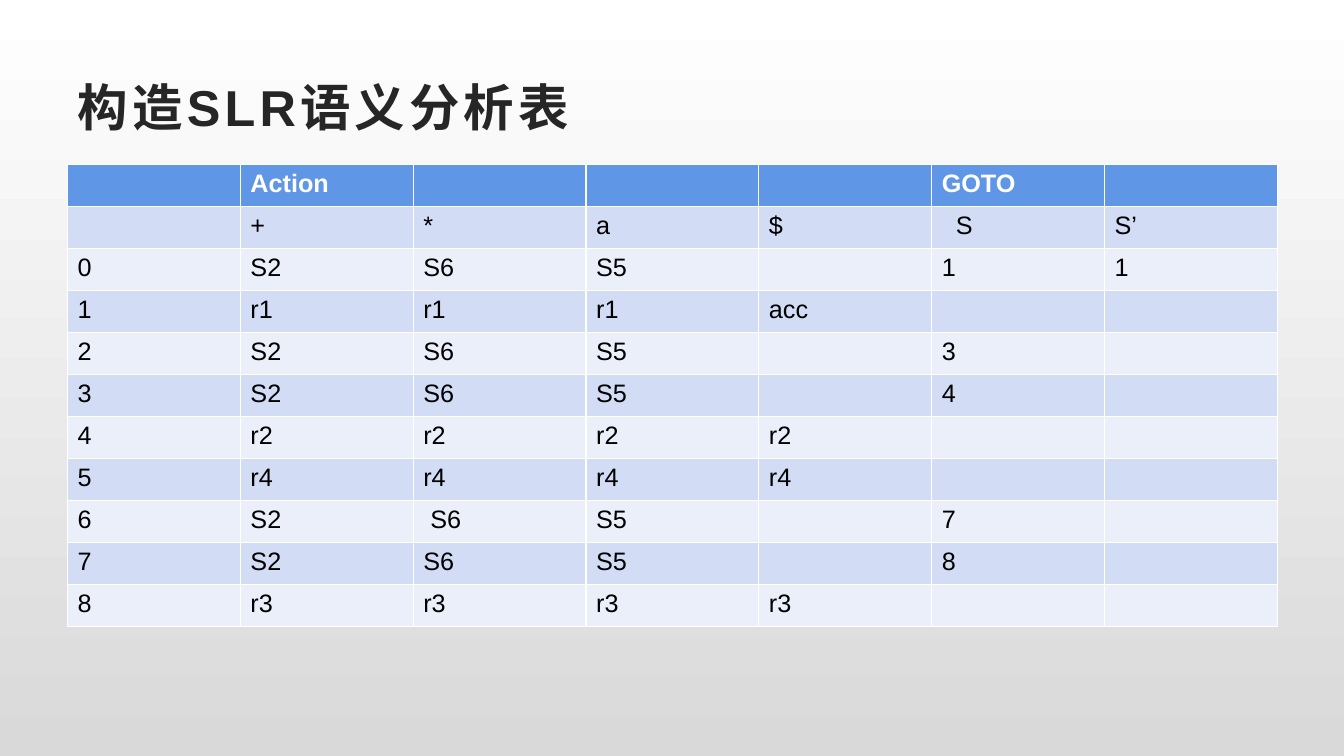
from dataclasses import dataclass

from pptx import Presentation
from pptx.dml.color import RGBColor
from pptx.enum.text import MSO_ANCHOR, MSO_AUTO_SIZE, PP_ALIGN
from pptx.slide import Slide
from pptx.text.text import TextFrame
from pptx.util import Inches, Pt

WHITE = RGBColor(0xFF, 0xFF, 0xFF)
BLACK = RGBColor(0x00, 0x00, 0x00)
GRAY = RGBColor(0xD9, 0xD9, 0xD9)
TITLE_COLOR = RGBColor(0x26, 0x26, 0x26)
HEADER_BLUE = RGBColor(0x60, 0x96, 0xE6)
BAND_DARK = RGBColor(0xD2, 0xDD, 0xF5)
BAND_LIGHT = RGBColor(0xEA, 0xEF, 0xFA)

LEFT, WIDTH = Inches(0.67), Inches(12)
TABLE_TOP = Inches(1.63)
ROW_HEIGHT = Inches(5) // 12
CELL_MARGIN = 0.1


@dataclass(frozen=True)
class ParserState:
    actions: tuple[str, str, str, str]
    goto: tuple[str, str] = ("", "")


SHIFT = ("S2", "S6", "S5", "")


def reduce_by(rule: str) -> ParserState:
    return ParserState((rule,) * 4)


STATES = [
    ParserState(SHIFT, ("1", "1")),
    ParserState(("r1", "r1", "r1", "acc")),
    ParserState(SHIFT, ("3", "")),
    ParserState(SHIFT, ("4", "")),
    reduce_by("r2"),
    reduce_by("r4"),
    ParserState(SHIFT, ("7", "")),
    ParserState(SHIFT, ("8", "")),
    reduce_by("r3"),
]
HEADINGS = [
    ("", "Action", "", "", "", "GOTO", ""),
    ("", "+", "*", "a", "$", "S", "S’"),
]
# Extra left indent in inches, by (row, column)
INDENTS = {(1, 5): 0.14, (8, 2): 0.07}


def write_text(frame: TextFrame, text: str, *, size: float = 18,
               color: RGBColor = BLACK, bold: bool = False,
               spacing: float = 0) -> None:
    paragraph = frame.paragraphs[0]
    paragraph.alignment = PP_ALIGN.LEFT
    run = paragraph.add_run()
    run.text = text
    run.font.name = "Arial"
    run.font.size = Pt(size)
    run.font.bold = bold
    run.font.color.rgb = color
    if spacing:
        run._r.get_or_add_rPr().set("spc", str(round(spacing * 100)))


def paint_background(slide: Slide) -> None:
    fill = slide.background.fill
    fill.gradient()
    fill.gradient_angle = 270
    for stop, color, position in zip(fill.gradient_stops, (WHITE, GRAY), (0, 1)):
        stop.color.rgb = color
        stop.position = position


def add_title(slide: Slide, text: str) -> None:
    title = slide.shapes.title
    title.left, title.top = LEFT, Inches(0.67)
    title.width, title.height = WIDTH, Inches(0.77)
    frame = title.text_frame
    frame.word_wrap = True
    frame.auto_size = MSO_AUTO_SIZE.NONE
    frame.vertical_anchor = MSO_ANCHOR.MIDDLE
    write_text(frame, text, size=36, color=TITLE_COLOR, bold=True, spacing=3)


def add_parsing_table(slide: Slide) -> None:
    rows = HEADINGS + [
        (str(number), *state.actions, *state.goto)
        for number, state in enumerate(STATES)
    ]
    # The default table style supplies the white cell borders
    table = slide.shapes.add_table(
        len(rows), len(rows[0]), LEFT, TABLE_TOP, WIDTH, ROW_HEIGHT * len(rows)
    ).table
    for row in table.rows:
        row.height = ROW_HEIGHT

    for row_index, values in enumerate(rows):
        is_header = row_index == 0
        band = BAND_DARK if row_index % 2 else BAND_LIGHT
        for column_index, value in enumerate(values):
            cell = table.cell(row_index, column_index)
            cell.fill.solid()
            cell.fill.fore_color.rgb = HEADER_BLUE if is_header else band
            indent = INDENTS.get((row_index, column_index), 0)
            cell.margin_left = Inches(CELL_MARGIN + indent)
            if value:
                write_text(cell.text_frame, value, bold=is_header,
                           color=WHITE if is_header else BLACK)


def main() -> None:
    presentation = Presentation()
    presentation.slide_width = Inches(13.33)
    presentation.slide_height = Inches(7.5)
    slide = presentation.slides.add_slide(presentation.slide_layouts[5])
    paint_background(slide)
    add_title(slide, "构造SLR语义分析表")
    add_parsing_table(slide)
    presentation.save("out.pptx")


if __name__ == "__main__":
    main()
